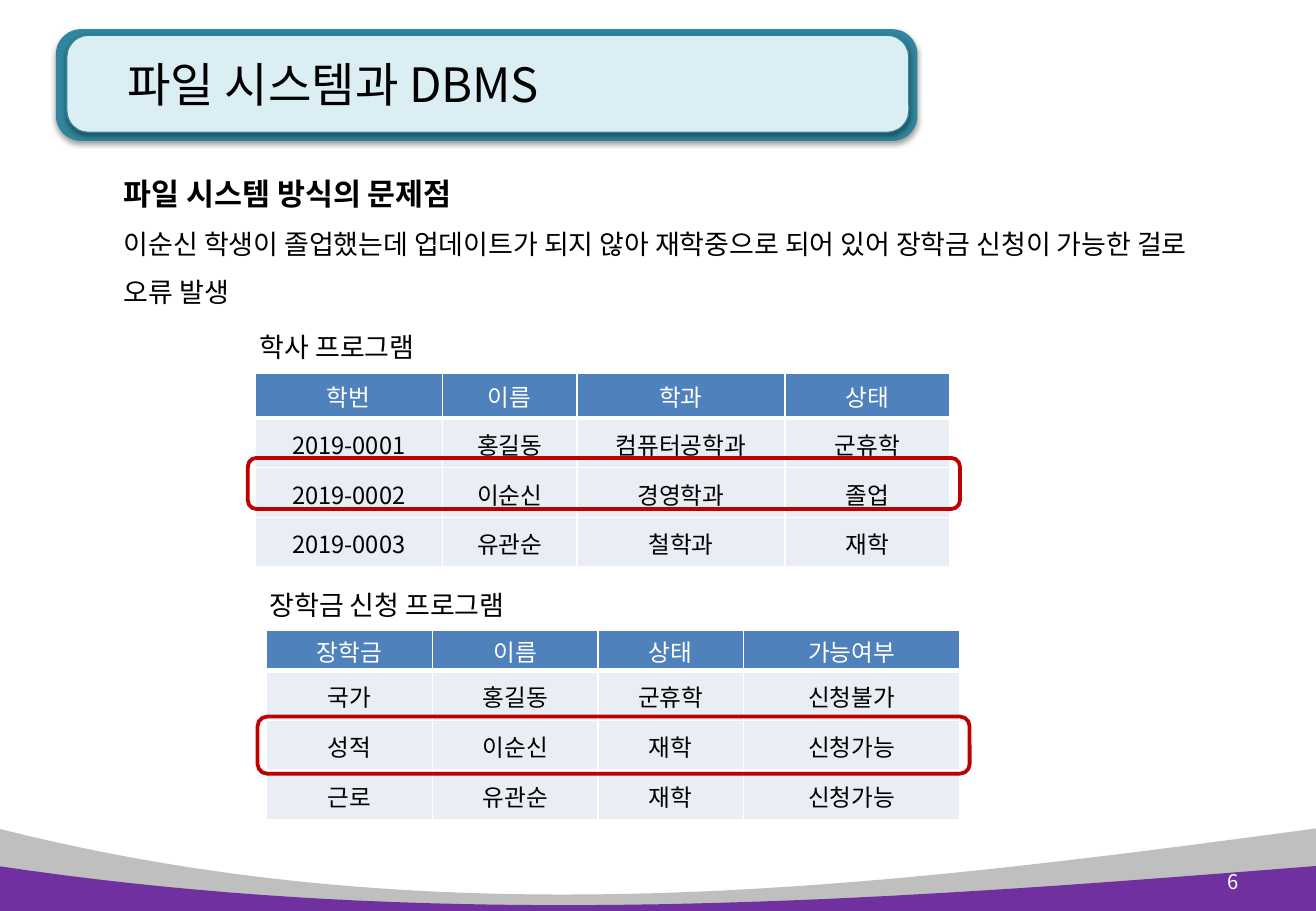
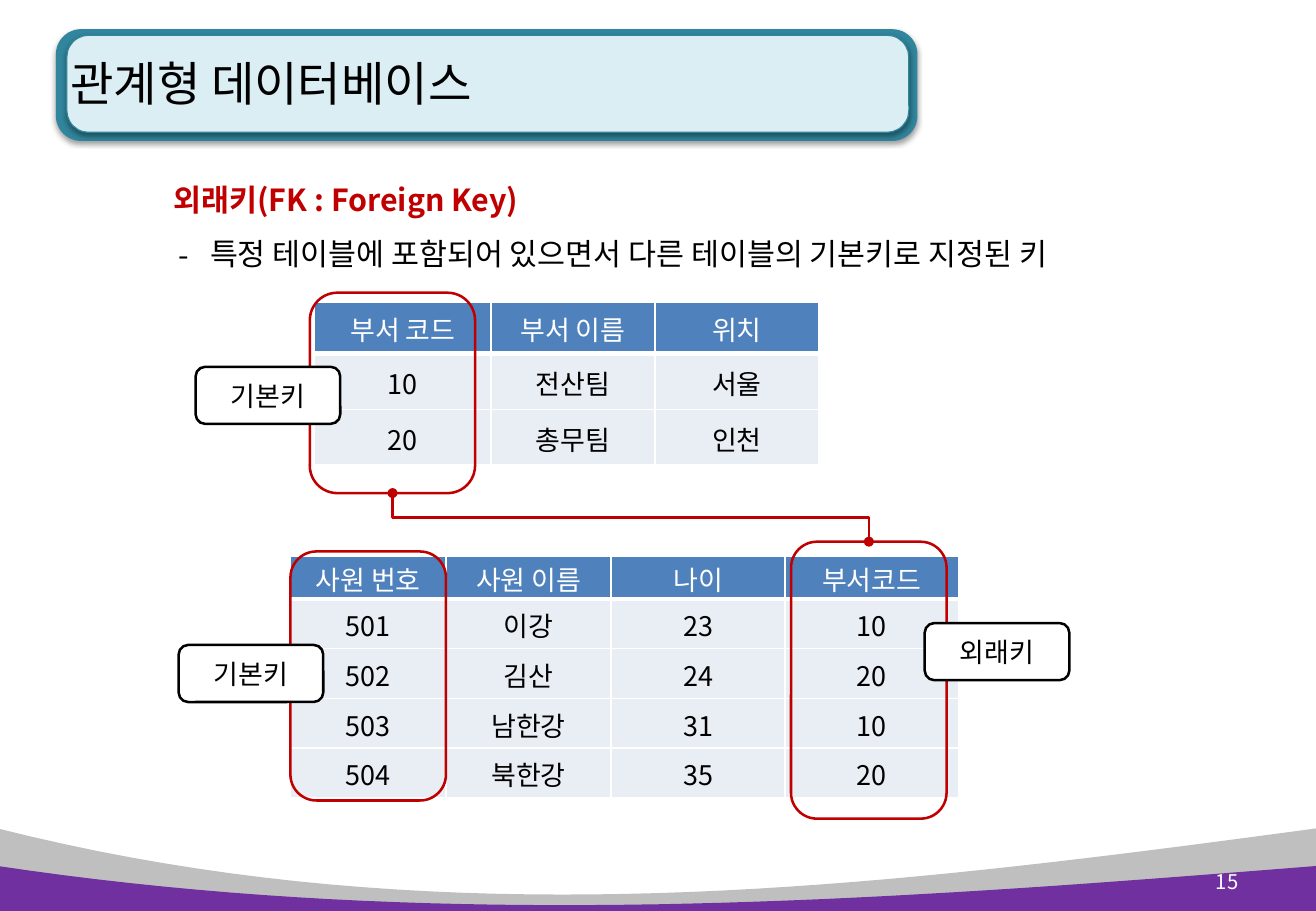
"""Build two database lecture slides: file system problems and foreign keys."""
from pptx import Presentation
from pptx.dml.color import RGBColor
from pptx.enum.shapes import MSO_CONNECTOR, MSO_SHAPE
from pptx.enum.text import MSO_ANCHOR, PP_ALIGN
from pptx.oxml.ns import qn
from pptx.util import Pt
from lxml.etree import SubElement

PX = 9144
W, H = 1083, 750
FONT = "Noto Sans CJK KR"
COLORS = {
    "black": "000000", "white": "FFFFFF", "red": "C00000", "gray": "BFBFBF",
    "purple": "7030A0", "teal": "31859C", "pale": "DBEEF4",
    "header": "4F81BD", "body": "E9EDF4",
}

WAVES = {
    "gray": ((-2, 682), (365, 775), (720, 731), (W, 682)),
    "purple": ((-2, 713), (365, 768), (720, 742), (W, 713)),
}
PANELS = [((46, 24, 709, 92), "teal", None), ((55, 29, 693, 80), "pale", "teal")]

SLIDES = [
    {
        "title": "파일 시스템과 DBMS", "title_box": (95, 22, 652, 94), "page": "6",
        "texts": [
            ((92, 124, 896, 136), 1.5, [
                ("파일 시스템 방식의 문제점", 18, True, "black", False),
                ("이순신 학생이 졸업했는데 업데이트가 되지 않아 재학중으로 되어 있어 "
                 "장학금 신청이 가능한 걸로 오류 발생", 16, False, "black", False)]),
            ((204, 267, 202, 37), 1, [("학사 프로그램", 16, False, "black", False)]),
            ((212, 480, 288, 37), 1, [("장학금 신청 프로그램", 16, False, "black", False)]),
        ],
        "tables": [
            {"at": (210, 307), "cols": (154, 111, 171, 136), "heights": (37, 41), "size": 14,
             "rows": [("학번", "이름", "학과", "상태"),
                      ("2019-0001", "홍길동", "컴퓨터공학과", "군휴학"),
                      ("2019-0002", "이순신", "경영학과", "졸업"),
                      ("2019-0003", "유관순", "철학과", "재학")]},
            {"at": (219, 519), "cols": (137, 136, 120, 178), "heights": (33, 41), "size": 14,
             "rows": [("장학금", "이름", "상태", "가능여부"),
                      ("국가", "홍길동", "군휴학", "신청불가"),
                      ("성적", "이순신", "재학", "신청가능"),
                      ("근로", "유관순", "재학", "신청가능")]},
        ],
        "frames": [(212, 590, 586, 47), (204, 377, 586, 42)], "frame_line": 2.25,
        "labels": [], "link": None,
    },
    {
        "title": "관계형 데이터베이스", "title_box": (48, 21, 494, 94), "page": "15",
        "texts": [
            ((133, 129, 868, 101), 1.5, [
                ("외래키(FK : Foreign Key)", 18, True, "red", False),
                ("특정 테이블에 포함되어 있으면서 다른 테이블의 기본키로 지정된 키",
                 18, False, "black", True)]),
        ],
        "tables": [
            {"at": (239, 458), "cols": (128, 136, 143, 143), "heights": (35, 41), "size": 16,
             "rows": [("사원 번호", "사원 이름", "나이", "부서코드"),
                      ("501", "이강", "23", "10"),
                      ("502", "김산", "24", "20"),
                      ("503", "남한강", "31", "10"),
                      ("504", "북한강", "35", "20")]},
            {"at": (259, 249), "cols": (145, 135, 135), "heights": (42, 46), "size": 16,
             "rows": [("부서 코드", "부서 이름", "위치"),
                      ("10", "전산팀", "서울"),
                      ("20", "총무팀", "인천")]},
        ],
        "frames": [(255, 241, 136, 165), (651, 446, 128, 228), (239, 454, 128, 205)],
        "frame_line": 1.5,
        "labels": [("외래키", 761, 513), ("기본키", 161, 302), ("기본키", 147, 531)],
        "link": (0, 1),
    },
]


def emu(*lengths):
    return [round(n * PX) for n in lengths]


def rgb(name):
    return RGBColor.from_string(COLORS[name])


def write(p, text, size, color, bold=False, align=PP_ALIGN.LEFT):
    p.text = text
    p.alignment = align
    for r in p.runs:
        r.font.name = FONT
        r.font.size = Pt(size)
        r.font.bold = bold
        r.font.color.rgb = rgb(color)
        SubElement(r._r.get_or_add_rPr(), qn("a:ea"), typeface=FONT)


def add_text(s, box, lines, spacing=1, anchor=MSO_ANCHOR.TOP, align=PP_ALIGN.LEFT):
    tf = s.shapes.add_textbox(*emu(*box)).text_frame
    tf.word_wrap = True
    tf.vertical_anchor = anchor
    for i, (text, size, bold, color, dash) in enumerate(lines):
        p = tf.paragraphs[0] if i == 0 else tf.add_paragraph()
        write(p, text, size, color, bold, align)
        p.line_spacing = spacing
        if dash:
            pPr = p._p.get_or_add_pPr()
            pPr.set("marL", str(30 * PX))
            pPr.set("indent", str(-26 * PX))
            SubElement(pPr, qn("a:buFont"), typeface=FONT)
            SubElement(pPr, qn("a:buChar"), char="-")


def style(sp, fill=None, line=None, width=1.0):
    sp.shadow.inherit = False
    if fill:
        sp.fill.solid()
        sp.fill.fore_color.rgb = rgb(fill)
    else:
        sp.fill.background()
    if line:
        sp.line.color.rgb = rgb(line)
        sp.line.width = Pt(width)
    else:
        sp.line.fill.background()


def add_round(s, box, fill, line, width=1.0):
    sp = s.shapes.add_shape(MSO_SHAPE.ROUNDED_RECTANGLE, *emu(*box))
    style(sp, fill, line, width)
    return sp


def add_wave(s, color, curve):
    steps = 40
    points = []
    for i in range(steps + 1):
        t = i / steps
        weights = ((1 - t) ** 3, 3 * t * (1 - t) ** 2, 3 * t * t * (1 - t), t ** 3)
        points.append(emu(*(sum(k * pt[axis] for k, pt in zip(weights, curve))
                            for axis in (0, 1))))
    points += [emu(curve[3][0], H), emu(curve[0][0], H)]
    builder = s.shapes.build_freeform(*points[0], scale=1.0)
    builder.add_line_segments(points[1:], close=True)
    style(builder.convert_to_shape(), color)


def add_panel(s, box, fill, line):
    sp = add_round(s, box, fill, line, 0.75)
    sp.adjustments[0] = 0.225
    effects = sp._element.spPr.find(qn("a:effectLst"))
    shadow = SubElement(effects, qn("a:outerShdw"), blurRad="40000", dist="20000",
                        dir="5400000", rotWithShape="0")
    tint = SubElement(shadow, qn("a:srgbClr"), val=COLORS["black"])
    SubElement(tint, qn("a:alpha"), val="38000")


def add_borders(cell, is_header):
    tcPr = cell._tc.get_or_add_tcPr()
    for i, side in enumerate(("lnL", "lnR", "lnT", "lnB")):
        width = Pt(3 if is_header and side == "lnB" else 1)
        ln = SubElement(tcPr, qn("a:" + side), w=str(width))
        tcPr.remove(ln)
        tcPr.insert(i, ln)
        fill = SubElement(ln, qn("a:solidFill"))
        SubElement(fill, qn("a:srgbClr"), val=COLORS["white"])


def add_grid(s, at, cols, heights, size, rows):
    row_heights = [heights[0]] + [heights[1]] * (len(rows) - 1)
    table = s.shapes.add_table(len(rows), len(cols),
                               *emu(*at, sum(cols), sum(row_heights))).table
    for column, width in zip(table.columns, cols):
        column.width = width * PX
    for i, (row, height, texts) in enumerate(zip(table.rows, row_heights, rows)):
        row.height = height * PX
        is_header = i == 0
        for cell, text in zip(row.cells, texts):
            cell.fill.solid()
            cell.fill.fore_color.rgb = rgb("header" if is_header else "body")
            cell.vertical_anchor = MSO_ANCHOR.MIDDLE
            cell.margin_top, cell.margin_bottom = emu(2, 0)
            write(cell.text_frame.paragraphs[0], text, size,
                  "white" if is_header else "black", align=PP_ALIGN.CENTER)
            add_borders(cell, is_header)


def add_key_link(s, upper, lower):
    x1, y1 = upper.left + upper.width // 2, upper.top + upper.height
    x2, y2 = lower.left + lower.width // 2, lower.top
    c = s.shapes.add_connector(MSO_CONNECTOR.ELBOW, x1, y1, x2, y2)
    c.begin_connect(upper, 2)
    c.end_connect(lower, 0)
    c.width, c.height = y2 - y1, x2 - x1
    c.left, c.top = (x1 + x2 - c.width) // 2, (y1 + y2 - c.height) // 2
    spPr = c._element.spPr
    xfrm = spPr.find(qn("a:xfrm"))
    xfrm.set("rot", "16200000")
    xfrm.set("flipH", "1")
    c.line.color.rgb = rgb("red")
    c.line.width = Pt(1.5)
    for end in ("a:headEnd", "a:tailEnd"):
        SubElement(spPr.find(qn("a:ln")), qn(end), type="oval")
    SubElement(spPr, qn("a:effectLst"))


def add_base(s, title, title_box, page):
    add_wave(s, "gray", WAVES["gray"])
    for panel in PANELS:
        add_panel(s, *panel)
    add_wave(s, "purple", WAVES["purple"])
    add_text(s, title_box, [(title, 28, False, "black", False)], anchor=MSO_ANCHOR.MIDDLE)
    add_text(s, (968, 706, 61, 40), [(page, 12, False, "white", False)],
             anchor=MSO_ANCHOR.MIDDLE, align=PP_ALIGN.RIGHT)


def add_slide(prs, data):
    s = prs.slides.add_slide(prs.slide_layouts[6])
    add_base(s, data["title"], data["title_box"], data["page"])
    for box, spacing, lines in data["texts"]:
        add_text(s, box, lines, spacing)
    for table in data["tables"]:
        add_grid(s, **table)
    frames = [add_round(s, box, None, "red", data["frame_line"]) for box in data["frames"]]
    for text, x, y in data["labels"]:
        sp = add_round(s, (x, y, 119, 47), "white", "black", 1.5)
        sp.text_frame.vertical_anchor = MSO_ANCHOR.MIDDLE
        write(sp.text_frame.paragraphs[0], text, 16, "black", align=PP_ALIGN.CENTER)
    if data["link"]:
        add_key_link(s, *(frames[i] for i in data["link"]))


def main():
    prs = Presentation()
    prs.slide_width, prs.slide_height = emu(W, H)
    for data in SLIDES:
        add_slide(prs, data)
    prs.save("out.pptx")


if __name__ == "__main__":
    main()
